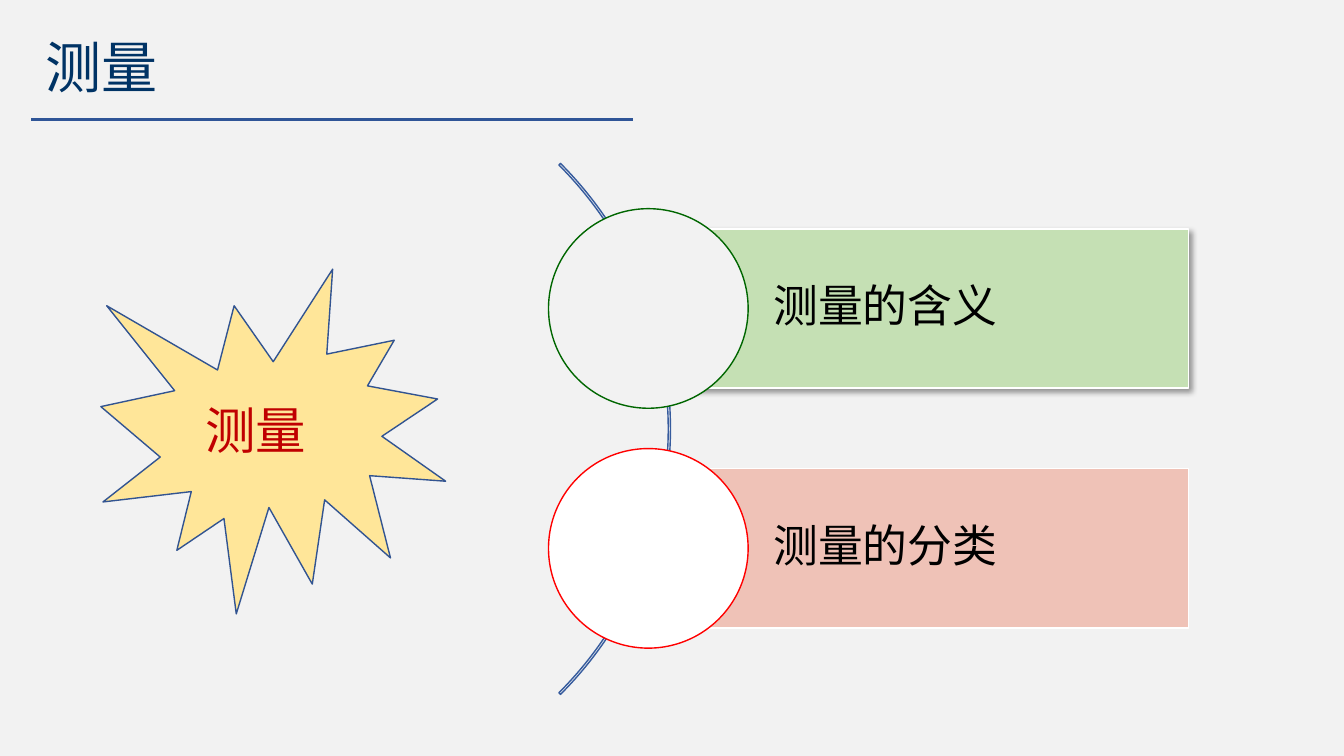
from lxml import etree
from pptx import Presentation
from pptx.dml.color import RGBColor
from pptx.enum.shapes import MSO_CONNECTOR, MSO_SHAPE as Preset
from pptx.enum.text import MSO_ANCHOR as Anchor, PP_ALIGN as Align
from pptx.oxml import parse_xml
from pptx.oxml.ns import nsdecls, qn
from pptx.util import Inches, Pt

FONT = "Noto Sans CJK SC"
PAPER = RGBColor(0xF2, 0xF2, 0xF2)
WHITE = RGBColor(0xFF, 0xFF, 0xFF)
BLACK = RGBColor(0x00, 0x00, 0x00)
NAVY = RGBColor(0x00, 0x33, 0x65)
RULE_BLUE = RGBColor(0x2F, 0x55, 0x97)
ARC_BLUE = RGBColor(0x36, 0x5B, 0x9D)
BURST_BLUE = RGBColor(0x32, 0x54, 0x91)
YELLOW = RGBColor(0xFF, 0xE6, 0x99)
CRIMSON = RGBColor(0xC0, 0x00, 0x00)
LIGHT_GREEN = RGBColor(0xC5, 0xE0, 0xB4)
GREEN = RGBColor(0x00, 0x66, 0x00)
SALMON = RGBColor(0xEF, 0xC2, 0xB7)
RED = RGBColor(0xFF, 0x00, 0x00)

BAR_TOP, BAR_HEIGHT, ROW_PITCH = 2.27, 1.58, 2.38
CIRCLE_SIZE = 1.98
TOPICS = [
    ("测量的含义", LIGHT_GREEN, PAPER, GREEN, True),
    ("测量的分类", SALMON, WHITE, RED, False),
]


def write_text(box, text, size, color, spacing=1.0, left=0.1, wrap=True):
    frame = box.text_frame
    frame.word_wrap = wrap
    frame.vertical_anchor = Anchor.MIDDLE
    frame.margin_left = Inches(left)
    para = frame.paragraphs[0]
    para.alignment = Align.LEFT
    para.line_spacing = spacing
    para.space_before = Pt(0)
    span = para.add_run()
    span.text = text
    span.font.size = Pt(size)
    span.font.name = FONT
    span.font.color.rgb = color
    east_asian = etree.SubElement(span.font._element, qn("a:ea"))
    east_asian.set("typeface", FONT)


class SlideBuilder:
    def __init__(self, page):
        self.page = page
        page.background.fill.solid()
        page.background.fill.fore_color.rgb = PAPER

    def title(self, text, *place):
        box = self.page.shapes.title
        box.left, box.top, box.width, box.height = map(Inches, place)
        write_text(box, text, 40, NAVY, spacing=0.9, wrap=False)

    def rule(self, left, right, top):
        line = self.page.shapes.add_connector(
            MSO_CONNECTOR.STRAIGHT, *map(Inches, (left, top, right, top)))
        line.line.color.rgb = RULE_BLUE
        line.line.width = Pt(2.25)
        etree.SubElement(line._element.spPr, qn("a:effectLst"))

    def shape(self, preset, *place, fill=None, line=WHITE, adjust=()):
        box = self.page.shapes.add_shape(preset, *map(Inches, place))
        box.shadow.inherit = False
        if fill is None:
            box.fill.background()
        else:
            box.fill.solid()
            box.fill.fore_color.rgb = fill
        box.line.color.rgb = line
        box.line.width = Pt(1)
        for index, value in enumerate(adjust):
            box.adjustments[index] = value
        return box

    def drop_shadow(self, box):
        effects = box._element.spPr.find(qn("a:effectLst"))
        effects.append(parse_xml(
            f'<a:outerShdw {nsdecls("a")} blurRad="{Pt(4)}" dist="{Pt(3)}" '
            'dir="2700000" algn="tl" rotWithShape="0"><a:srgbClr val="000000">'
            '<a:alpha val="40000"/></a:srgbClr></a:outerShdw>'))

    def label(self, text, *place):
        box = self.page.shapes.add_textbox(*map(Inches, place))
        write_text(box, text, 36, CRIMSON, wrap=False)

    def topic(self, row, text, bar_fill, circle_fill, circle_line, shaded):
        top = BAR_TOP + row * ROW_PITCH
        bar = self.shape(Preset.RECTANGLE, 6.42, top, 5.37, BAR_HEIGHT, fill=bar_fill)
        if shaded:
            self.drop_shadow(bar)
        write_text(bar, text, 32, BLACK, spacing=0.9, left=1.25)
        circle_top = top + (BAR_HEIGHT - CIRCLE_SIZE) / 2
        self.shape(Preset.OVAL, 5.44, circle_top, CIRCLE_SIZE, CIRCLE_SIZE,
                   fill=circle_fill, line=circle_line)


def main():
    deck = Presentation()
    deck.slide_width, deck.slide_height = Inches(13.33), Inches(7.5)
    builder = SlideBuilder(deck.slides.add_slide(deck.slide_layouts[5]))
    builder.title("测量", 0.35, 0.38, 1.42, 0.63)
    builder.rule(0.31, 6.28, 1.19)
    builder.shape(Preset.BLOCK_ARC, -0.8, 0.53, 7.45, 7.45,
                  line=ARC_BLUE, adjust=(189, 27, 0.003))
    for row, topic in enumerate(TOPICS):
        builder.topic(row, *topic)
    builder.shape(Preset.EXPLOSION1, 1, 2.67, 3.42, 3.42, fill=YELLOW, line=BURST_BLUE)
    builder.label("测量", 1.94, 3.9, 1.21, 0.71)
    deck.save("out.pptx")


if __name__ == "__main__":
    main()
